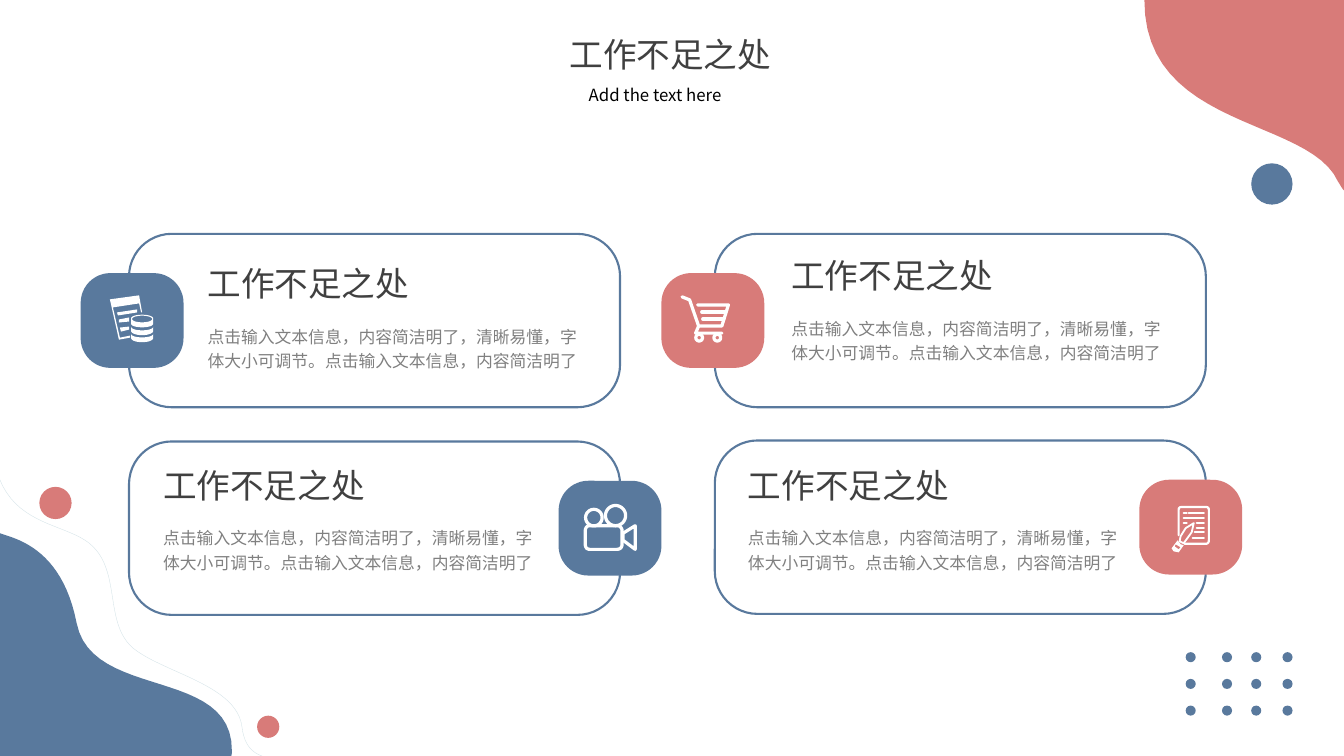
import math

import lxml.etree
import pptx
import pptx.dml.color
import pptx.enum.shapes
import pptx.enum.text
import pptx.oxml.ns
import pptx.util

Inches = pptx.util.Inches
SHAPE = pptx.enum.shapes.MSO_SHAPE
BLUE, CORAL, WHITE = "59799D", "D87B79", "FFFFFF"
FONT = "Noto Sans CJK SC"
TITLE = "工作不足之处"
BODY = "点击输入文本信息，内容简洁明了，清晰易懂，字体大小可调节。点击输入文本信息，内容简洁明了"

DOCUMENT = [(
    "M 29 0 L 0 4 L 9 44 L 20 42 L 20 40 L 10 42 L 3 12 L 29 8 L 31 17 L 32 17 Z "
    "M 27 14 L 7 17 L 8 20 L 27 17 Z M 19 22 L 9 24 L 9 27 L 19 26 Z "
    "M 19 31 L 10 32 L 11 36 L 19 34 Z "
    "M 21 23 C 21 18 43 18 43 23 L 43 28 C 43 33 21 33 21 28 Z O 32 23.5 10 3.3 "
    "M 21 31 L 21 35 C 21 41 43 41 43 35 L 43 31 C 43 36 21 36 21 31 Z "
    "M 21 38 L 21 42 C 21 48 43 48 43 42 L 43 38 C 43 43 21 43 21 38 Z", 0)]
CART = [(
    "M 1.5 1.5 L 9 4.5 L 18 30.5 L 41 30.5 L 47.5 9.5 L 17 9.5 "
    "M 21 16.5 L 45 16.5 M 22 23.5 L 43 23.5 M 18 30.5 L 15 37.5 L 41 37.5 "
    "O 18.5 42 3.3 3.3 O 36.5 42 3.3 3.3", 2.3)]
CAMERA = [(
    "O 10 13.5 8.2 8.2 O 31.5 11.5 10 10 "
    "M 6 21.5 L 33 21.5 C 36 21.5 38 24 38 26.5 L 38 40 C 38 43 36 45 33 45 "
    "L 6 45 C 3 45 1.5 43 1.5 40 L 1.5 26.5 C 1.5 24 3 21.5 6 21.5 Z "
    "M 39 29 L 51 21.5 L 51 45 L 39 36 Z", 2.3)]
NOTE = [
    ("M 7 29 L 7 4 C 7 2 8 1 10 1 L 34 1 C 36 1 37 2 37 4 L 37 34 C 37 36 36 37.5 34 37.5 "
     "L 13 37.5 M 12 7 L 15 7 M 17 7 L 32 7 M 12 12 L 32 12 M 12 17 L 15 17 "
     "M 25 17 L 32 17 M 25 21.5 L 32 21.5 M 23 26 L 32 26 M 21 31.5 L 32 31.5", 1.6),
    ("M 22 17 L 14 22 L 9 30 L 8 35 L 12 37 L 20 26 Z", 1.3),
    ("M 6 34 L 0 42 L 2 45 L 7 46 L 12 39 L 9 38 Z M 4 38 L 9 41 L 7 43 L 3 40 Z", 0),
]


def color(value):
    """Turn a hex string into a colour."""
    return pptx.dml.color.RGBColor.from_string(value)


def paint(sp, fill=None, line=None, width=1):
    """Set fill and outline and drop the shadow."""
    sp.shadow.inherit = False
    if fill:
        sp.fill.solid()
        sp.fill.fore_color.rgb = color(fill)
    else:
        sp.fill.background()
    if line:
        sp.line.color.rgb = color(line)
        sp.line.width = pptx.util.Pt(width)
    else:
        sp.line.fill.background()


def add_preset(slide, kind, x, y, w, h, corner=None, **look):
    """Add a preset shape with its look."""
    sp = slide.shapes.add_shape(kind, Inches(x), Inches(y), Inches(w), Inches(h))
    if corner is not None:
        sp.adjustments[0] = corner
    paint(sp, **look)


def add_text(slide, text, x, y, w, h, size=12, ink="000000", spacing=None):
    """Add a wrapped text box with one formatted paragraph."""
    sp = slide.shapes.add_textbox(Inches(x), Inches(y), Inches(w), Inches(h))
    tf = sp.text_frame
    tf.word_wrap = True
    tf.auto_size = pptx.enum.text.MSO_AUTO_SIZE.SHAPE_TO_FIT_TEXT
    p = tf.paragraphs[0]
    if spacing:
        p.line_spacing = spacing
    r = p.add_run()
    r.text = text
    r.font.size = pptx.util.Pt(size)
    r.font.color.rgb = color(ink)
    r.font.name = FONT
    ea = lxml.etree.SubElement(r.font._element, pptx.oxml.ns.qn("a:ea"))
    ea.set("typeface", FONT)


def curve_points(start, controls, steps=24):
    """Sample a cubic curve from its start and three control points."""
    nodes = [start] + controls
    for i in range(1, steps + 1):
        t = i / steps
        weights = [math.comb(3, k) * t**k * (1 - t)**(3 - k) for k in range(4)]
        yield tuple(sum(b * n[axis] for b, n in zip(weights, nodes)) for axis in (0, 1))


def contours(outline):
    """Read M, L, C, Z and O (ellipse) commands into point lists with closed flags."""
    found, words = [], outline.split()
    starts = [i for i, word in enumerate(words) if word.isalpha()]
    for i, end in zip(starts, starts[1:] + [len(words)]):
        values = [float(v) for v in words[i + 1:end]]
        pairs = list(zip(values[::2], values[1::2]))
        if words[i] == "M":
            found.append([pairs, False])
        elif words[i] == "L":
            found[-1][0].extend(pairs)
        elif words[i] == "C":
            found[-1][0].extend(curve_points(found[-1][0][-1], pairs))
        elif words[i] == "Z":
            found[-1][1] = True
        else:
            (cx, cy), (rx, ry) = pairs
            angles = [math.tau * k / 36 for k in range(36)]
            found.append([[(cx + rx * math.cos(a), cy + ry * math.sin(a)) for a in angles], True])
    return found


def add_outline(slide, outline, x=0, y=0, **look):
    """Draw an outline given in hundredths of an inch from x, y."""
    builder = None
    for points, closed in contours(outline):
        points = [(Inches(x + px / 100), Inches(y + py / 100)) for px, py in points]
        if builder is None:
            builder = slide.shapes.build_freeform(*points[0])
        else:
            builder.move_to(*points[0])
        builder.add_line_segments(points[1:], close=closed)
    sp = builder.convert_to_shape()
    paint(sp, **look)
    if look.get("line"):
        sp.line._get_or_add_ln().set("cap", "rnd")


def add_decoration(slide):
    """Draw the corner waves, loose circles and dot grid."""
    add_outline(slide, "M 0 529 C 12 534 61 541 76 618 C 91 695 231 661 230 745 "
                "C 230 747 230 749 229 751 L 0 752 Z", fill=BLUE)
    add_outline(slide, "M -8 425 C -10 527 64 514 92 542 C 121 570 102 623 136 646 "
                "C 169 669 235 681 240 721 C 245 762 278 746 292 763", line="D4E3E8", width=0.25)
    add_outline(slide, "M 1333 -1 L 1333 189 C 1331 187 1329 183 1327 180 "
                "C 1298 116 1134 129 1135 -1 Z", fill=CORAL)
    for x, y, size, fill in [(0.39, 4.83, 0.32, CORAL), (2.55, 7.1, 0.22, CORAL),
                             (12.41, 1.62, 0.41, BLUE)]:
        add_preset(slide, SHAPE.OVAL, x, y, size, size, fill=fill)
    for row in range(3):
        for x in (11.76, 12.12, 12.41, 12.72):
            add_preset(slide, SHAPE.OVAL, x, 6.47 + row * 0.265, 0.1, 0.1, fill=BLUE)


def add_header(slide, x, y):
    """Place the slide title and subtitle."""
    add_text(slide, TITLE, x, y, 2.23, 0.5, size=24, ink="404040")
    add_text(slide, "Add the text here", x + 0.19, y + 0.5, 1.85, 0.3)


def add_card(slide, x, y, badge_dx, text_dx, text_dy, fill, icon, icon_dx, icon_dy):
    """Place a rounded card with its badge, icon, heading and body."""
    add_preset(slide, SHAPE.ROUNDED_RECTANGLE, x, y, 4.87, 1.72, 0.246, line=BLUE, width=1.5)
    bx, by = x + badge_dx, y + 0.39
    add_preset(slide, SHAPE.ROUNDED_RECTANGLE, bx, by, 1.02, 0.94, 0.314, fill=fill)
    for outline, stroke in icon:
        look = {"line": WHITE, "width": stroke} if stroke else {"fill": WHITE}
        add_outline(slide, outline, bx + icon_dx, by + icon_dy, **look)
    tx, ty = x + text_dx, y + text_dy
    add_text(slide, TITLE, tx, ty, 2.23, 0.5, size=24, ink="404040")
    add_text(slide, BODY, tx, ty + 0.59, 3.88, 0.83, ink="808080", spacing=1.2)


def main():
    """Build and save the slide."""
    prs = pptx.Presentation()
    prs.slide_width, prs.slide_height = Inches(13.33), Inches(7.5)
    slide = prs.slides.add_slide(prs.slide_layouts[6])
    add_decoration(slide)
    add_header(slide, 5.55, 0.29)
    add_card(slide, 1.28, 2.32, -0.48, 0.68, 0.24, BLUE, DOCUMENT, 0.29, 0.22)
    add_card(slide, 1.28, 4.38, 4.26, 0.24, 0.18, BLUE, CAMERA, 0.25, 0.23)
    add_card(slide, 7.09, 2.32, -0.53, 0.66, 0.16, CORAL, CART, 0.19, 0.22)
    add_card(slide, 7.09, 4.37, 4.21, 0.23, 0.19, CORAL, NOTE, 0.32, 0.26)
    prs.save("out.pptx")


if __name__ == "__main__":
    main()
